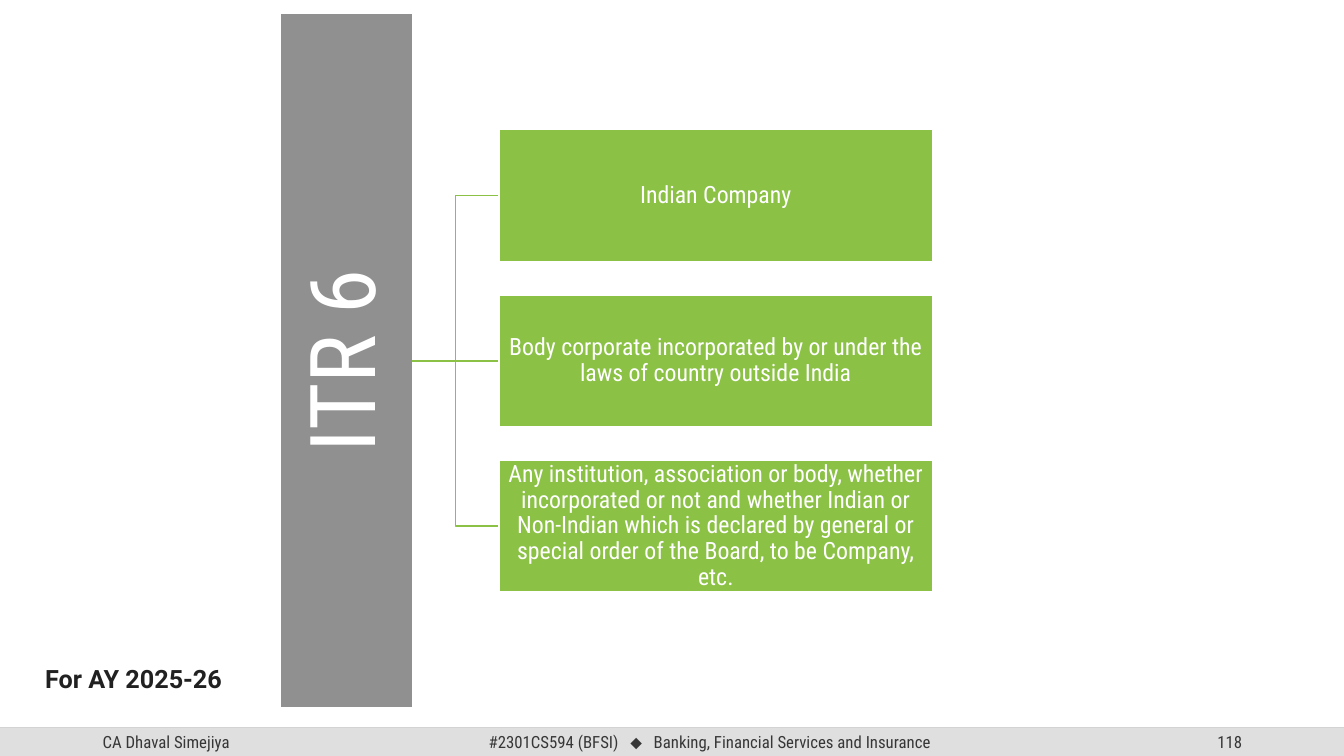
from lxml.etree import SubElement
from pptx import Presentation
from pptx.dml.color import RGBColor
from pptx.enum.shapes import MSO_CONNECTOR, MSO_SHAPE
from pptx.enum.text import MSO_ANCHOR, MSO_AUTO_SIZE, PP_ALIGN
from pptx.oxml.ns import qn
from pptx.util import Inches, Pt

WIDTH, HEIGHT = 13.33, 7.5
CONDENSED = "Roboto Condensed"
GREEN, GRAY, WHITE = "8BC145", "909090", "FFFFFF"
FOOTER_TEXT = "373737"

# Tree grid: one bar, then a column of equal boxes centred on it
MIDDLE = 3.58
ROW_STEP = 1.64
BOX_LEFT, BOX_WIDTH, BOX_HEIGHT = 4.95, 4.3, 1.31
BAR_RIGHT, BAR_LENGTH = 4.09, 6.89
FOOTER_TOP, FOOTER_HEIGHT = 7.22, 0.28

COMPANY_TYPES = [
    "Indian Company",
    "Body corporate incorporated by or under the laws of country outside India",
    "Any institution, association or body, whether incorporated or not and "
    "whether Indian or Non-Indian which is declared by general or special "
    "order of the Board, to be Company, etc.",
]


def color(hex_code):
    return RGBColor.from_string(hex_code)


def paint(shape, fill, line=None):
    shape.fill.solid()
    shape.fill.fore_color.rgb = color(fill)
    if line:
        shape.line.color.rgb = color(line)
        shape.line.width = Pt(1)
    else:
        shape.line.fill.background()


def place(shape, left, top, width, height):
    shape.left, shape.top = Inches(left), Inches(top)
    shape.width, shape.height = Inches(width), Inches(height)


def write(shape, runs, size, hex_code, font=CONDENSED, align=PP_ALIGN.LEFT,
          bold=False, spacing=None, inset=None):
    """Write one paragraph; runs are (text, font override or None)."""
    frame = shape.text_frame
    frame.word_wrap = True
    frame.auto_size = MSO_AUTO_SIZE.NONE
    frame.vertical_anchor = MSO_ANCHOR.MIDDLE
    if inset is not None:
        frame.margin_left = frame.margin_right = Inches(inset)
        frame.margin_top = frame.margin_bottom = Inches(inset)
    para = frame.paragraphs[0]
    para.alignment = align
    para.line_spacing = spacing
    para.font.name, para.font.size, para.font.bold = font, Pt(size), bold
    para.font.color.rgb = color(hex_code)
    for text, override in runs:
        span = para.add_run()
        span.text = text
        if override:
            span.font.name = override


def add_text(page, left, top, width, height, runs, size, hex_code, **style):
    box = page.shapes.add_textbox(0, 0, 0, 0)
    place(box, left, top, width, height)
    write(box, runs, size, hex_code, **style)


def add_line(page, kind, start, end, hex_code):
    line = page.shapes.add_connector(
        kind, *(Inches(length) for length in (*start, *end)))
    line.line.color.rgb = color(hex_code)
    line.line.width = Pt(1)
    SubElement(line._element.spPr, qn("a:effectLst"))


def add_box(page, left, top, width, height, fill, line=None):
    box = page.shapes.add_shape(MSO_SHAPE.RECTANGLE, 0, 0, 0, 0)
    place(box, left, top, width, height)
    box.shadow.inherit = False
    paint(box, fill, line)
    return box


def add_footer(page):
    add_line(page, MSO_CONNECTOR.STRAIGHT, (0, FOOTER_TOP), (WIDTH, FOOTER_TOP), "D2D2D2")
    add_box(page, 0, FOOTER_TOP, WIDTH, FOOTER_HEIGHT, "DFDFDF")
    course = [("#2301CS594 (BFSI)\u00a0 ".replace("\u00a0", " ") + " ", None), ("⬥", "Arial"),
              ("   Banking, Financial Services and Insurance", None)]
    for left, width, runs, align in [
        (0.92, 3, [("CA Dhaval Simejiya", None)], PP_ALIGN.LEFT),
        (4.42, 5.24, course, PP_ALIGN.CENTER),
        (9.42, 3, [("118", None)], PP_ALIGN.RIGHT),
    ]:
        add_text(page, left, FOOTER_TOP, width, FOOTER_HEIGHT, runs, 12,
                 FOOTER_TEXT, align=align)


def add_title_bar(page):
    title = page.shapes.title
    center = BAR_RIGHT - BOX_HEIGHT / 2
    place(title, center - BAR_LENGTH / 2, MIDDLE - BOX_HEIGHT / 2, BAR_LENGTH, BOX_HEIGHT)
    title.rotation = 270
    paint(title, GRAY, WHITE)
    write(title, [("ITR 6", None)], 65, WHITE, align=PP_ALIGN.CENTER,
          spacing=0.9, inset=0.05)


def add_branches(page):
    for row, text in enumerate(COMPANY_TYPES):
        offset = row - (len(COMPANY_TYPES) - 1) / 2
        center = MIDDLE + offset * ROW_STEP
        kind = MSO_CONNECTOR.ELBOW if offset else MSO_CONNECTOR.STRAIGHT
        add_line(page, kind, (BAR_RIGHT, MIDDLE), (BOX_LEFT, center), GREEN)
        box = add_box(page, BOX_LEFT, center - BOX_HEIGHT / 2, BOX_WIDTH,
                      BOX_HEIGHT, GREEN, WHITE)
        write(box, [(text, None)], 17, WHITE, align=PP_ALIGN.CENTER,
              spacing=0.9, inset=0.01)


def main():
    deck = Presentation()
    deck.slide_width, deck.slide_height = Inches(WIDTH), Inches(HEIGHT)
    page = deck.slides.add_slide(deck.slide_layouts[5])

    # Footer band
    add_footer(page)

    # Title bar and its branches
    add_title_bar(page)
    add_branches(page)

    # Assessment year
    add_text(page, 0.35, 6.53, 2.17, 0.4, [("For AY 2025-26", None)], 18,
             "212121", font="Roboto", bold=True)

    deck.save("out.pptx")


if __name__ == "__main__":
    main()
